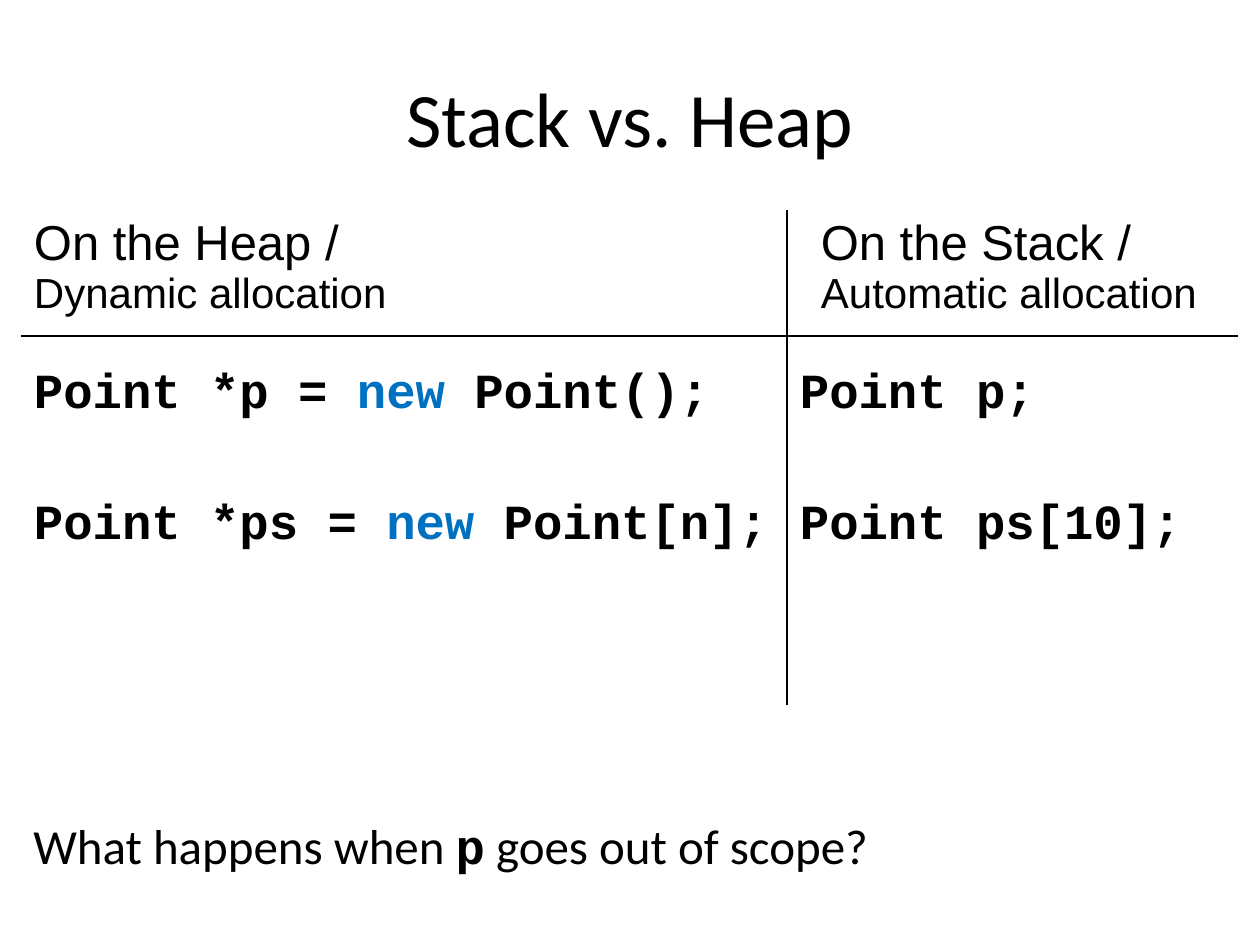
from lxml import etree
from pptx import Presentation, util as u
from pptx.dml.color import RGBColor
from pptx.enum import text
from pptx.oxml import ns

BLACK, BLUE = "000000", "0070C0"
CODE, SANS, BODY = "Courier New", "Arial", "Calibri"


def px(count):
    """Turn pixels at 126 to the inch into EMU."""
    return u.Emu(round(count * 914400 / 126))


def colour(value):
    """Turn a hex string into a colour."""
    return RGBColor.from_string(value)


def add_span(para, words, font, size, bold=False, ink=BLACK):
    """Add one formatted run to a paragraph."""
    span = para.add_run()
    span.text = words
    span.font.name = font
    span.font.size = u.Pt(size)
    span.font.bold = bold
    span.font.color.rgb = colour(ink)


def fill_frame(frame, paragraphs, gap=0):
    """Write paragraphs of spans, with a gap in points between them."""
    for index, spans in enumerate(paragraphs):
        para = frame.paragraphs[0] if index == 0 else frame.add_paragraph()
        para.space_before = u.Pt(gap if index else 0)
        for span in spans:
            add_span(para, *span)


def set_borders(cell, sides):
    """Draw a 1 pt black line on the named sides and none on the others."""
    properties = cell._tc.get_or_add_tcPr()
    for index, side in enumerate("LRTB"):
        line = etree.Element(ns.qn(f"a:ln{side}"), w=str(u.Pt(1)))
        if side in sides:
            solid = etree.SubElement(line, ns.qn("a:solidFill"))
            etree.SubElement(solid, ns.qn("a:srgbClr"), val=BLACK)
        else:
            etree.SubElement(line, ns.qn("a:noFill"))
        properties.insert(index, line)


def code_line(before, keyword="", after=""):
    """Return the spans of a code line with a blue keyword."""
    parts = ((before, BLACK), (keyword, BLUE), (after, BLACK))
    return [(words, CODE, 28, True, ink) for words, ink in parts if words]


def heading(place, allocation):
    """Return the two lines of a column heading."""
    return [[(place, SANS, 28)], [(allocation, SANS, 24)]]


def add_title(page, words):
    """Place and format the title."""
    title = page.shapes.title
    title.left, title.top, title.width, title.height = map(px, (63, 38, 1134, 158))
    title.text_frame.vertical_anchor = text.MSO_ANCHOR.MIDDLE
    fill_frame(title.text_frame, [[(words, BODY, 44)]])
    title.text_frame.paragraphs[0].alignment = text.PP_ALIGN.CENTER


def add_comparison(page):
    """Add the table that sets heap against stack."""
    widths, heights = (766, 451), (126, 369)
    frame = page.shapes.add_table(
        2, 2, px(21), px(210), px(sum(widths)), px(sum(heights)))
    table = frame.table
    table.first_row = table.horz_banding = False
    for column, width in zip(table.columns, widths):
        column.width = px(width)
    for row, height in zip(table.rows, heights):
        row.height = px(height)
    contents = (
        (0, 0, "RB", 13, 6, 0, heading("On the Heap /", "Dynamic allocation")),
        (0, 1, "LB", 34, 6, 0, heading("On the Stack /", "Automatic allocation")),
        (1, 0, "TR", 13, 32, 43, [code_line("Point *p = ", "new", " Point();"),
                                  code_line("Point *ps = ", "new", " Point[n];")]),
        (1, 1, "TL", 13, 32, 43, [code_line("Point p;"),
                                  code_line("Point ps[10];")]),
    )
    for row, column, sides, left, top, gap, paragraphs in contents:
        cell = table.cell(row, column)
        cell.margin_left, cell.margin_top = px(left), px(top)
        cell.fill.background()
        set_borders(cell, sides)
        fill_frame(cell.text_frame, paragraphs, gap)


def add_question(page):
    """Add the closing question."""
    box = page.shapes.add_textbox(*map(px, (21, 809, 944, 72)))
    box.text_frame.word_wrap = True
    fill_frame(box.text_frame, [[
        ("What happens when ", BODY, 28),
        ("p", CODE, 28, True),
        (" goes out of scope?", BODY, 28),
    ]])


def main():
    """Build and save the slide."""
    deck = Presentation()
    deck.slide_width, deck.slide_height = px(1260), px(945)
    page = deck.slides.add_slide(deck.slide_layouts[5])
    add_title(page, "Stack vs. Heap")
    add_comparison(page)
    add_question(page)
    deck.save("out.pptx")


if __name__ == "__main__":
    main()
